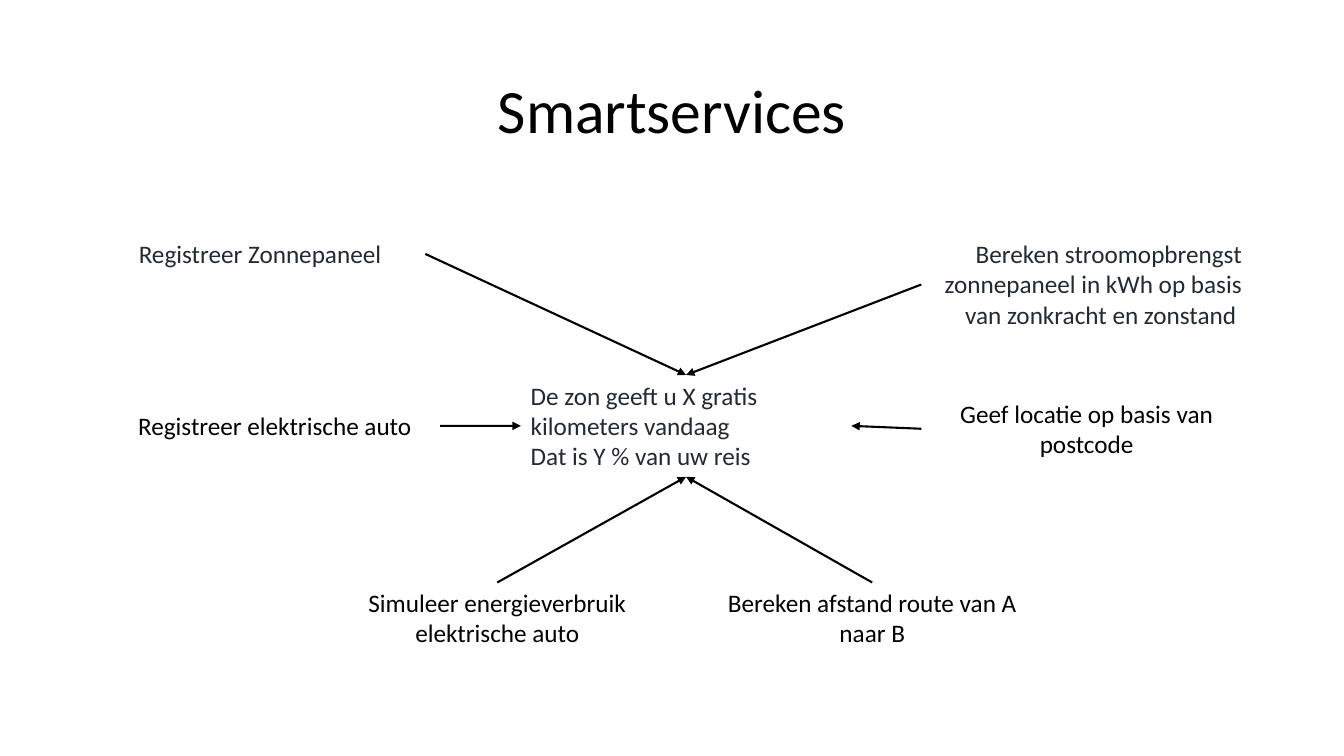
"""Build the Smartservices slide: six services pointing at one message."""
from pptx import Presentation, util as u
from pptx.dml.color import RGBColor
from pptx.enum import shapes as s, text as t
from pptx.oxml.ns import qn
from lxml import etree

BLACK = RGBColor(0, 0, 0)
SLATE = RGBColor(0x22, 0x2A, 0x35)
WHITE = RGBColor(255, 255, 255)
LEFT, MID, RIGHT = t.PP_ALIGN.LEFT, t.PP_ALIGN.CENTER, t.PP_ALIGN.RIGHT
TOP, WEST, BASE, EAST = range(4)

deck = Presentation()
deck.slide_width, deck.slide_height = u.Inches(13.333), u.Inches(7.5)
COL, ROW = deck.slide_width / 100, deck.slide_height / 100
slide = deck.slides.add_slide(deck.slide_layouts[5])


def place(shape, left, top, width, height):
    shape.left, shape.top = int(left * COL), int(top * ROW)
    shape.width, shape.height = int(width * COL), int(height * ROW)


def dress(shape, words, size, color, align, alpha):
    shape.fill.solid()
    shape.fill.fore_color.rgb = WHITE
    tint = shape._element.spPr.find(".//" + qn("a:srgbClr"))
    etree.SubElement(tint, qn("a:alpha")).set("val", str(alpha * 1000))
    frame = shape.text_frame
    frame.text = words
    frame.word_wrap = True
    for para in frame.paragraphs:
        para.alignment = align
        for run in para.runs:
            run.font.name = "Calibri"
            run.font.size = u.Pt(size)
            run.font.color.rgb = color


title = slide.shapes.title
place(title, 6.9, 5.33, 86.25, 19.33)
dress(title, "Smartservices", 44, BLACK, MID, 25)
title.text_frame.vertical_anchor = t.MSO_ANCHOR.MIDDLE
title.text_frame.paragraphs[0].line_spacing = 0.9

items = [
    ("De zon geeft u X gratis kilometers vandaag\nDat is Y % van uw reis",
     38.75, 49.6, 3, SLATE, LEFT, None, None),
    ("Registreer Zonnepaneel", 7.05, 30.9, 1, SLATE, MID, EAST, TOP),
    ("Registreer elektrische auto", 8.15, 53.65, 1, BLACK, MID, EAST, WEST),
    ("Bereken stroomopbrengst zonnepaneel in kWh op basis van zonkracht en zonstand ",
     68.55, 30.9, 3, SLATE, RIGHT, WEST, TOP),
    ("Simuleer energieverbruik elektrische auto", 24.7, 77.05, 2, BLACK, MID, TOP, BASE),
    ("Geef locatie op basis van postcode", 68.55, 52, 2, BLACK, MID, WEST, EAST),
    ("Bereken afstand route van A naar B", 52.6, 77.05, 2, BLACK, MID, TOP, BASE),
]
hub = None
for words, left, top, lines, color, align, start, end in items:
    box = slide.shapes.add_textbox(0, 0, 0, 0)
    place(box, left, top, 24.6, 1.35 + 4.04 * lines)
    dress(box, words, 18, color, align, 50)
    box.text_frame.auto_size = t.MSO_AUTO_SIZE.SHAPE_TO_FIT_TEXT
    if hub is None:
        hub = box
        continue
    arrow = slide.shapes.add_connector(s.MSO_CONNECTOR.STRAIGHT, 0, 0, 0, 0)
    arrow.begin_connect(box, start)
    arrow.end_connect(hub, end)
    arrow.line.color.rgb = BLACK
    arrow.line.width = u.Pt(1.5)
    etree.SubElement(arrow.line._get_or_add_ln(), qn("a:tailEnd")).set("type", "triangle")
    etree.SubElement(arrow._element.spPr, qn("a:effectLst"))

deck.save("out.pptx")
